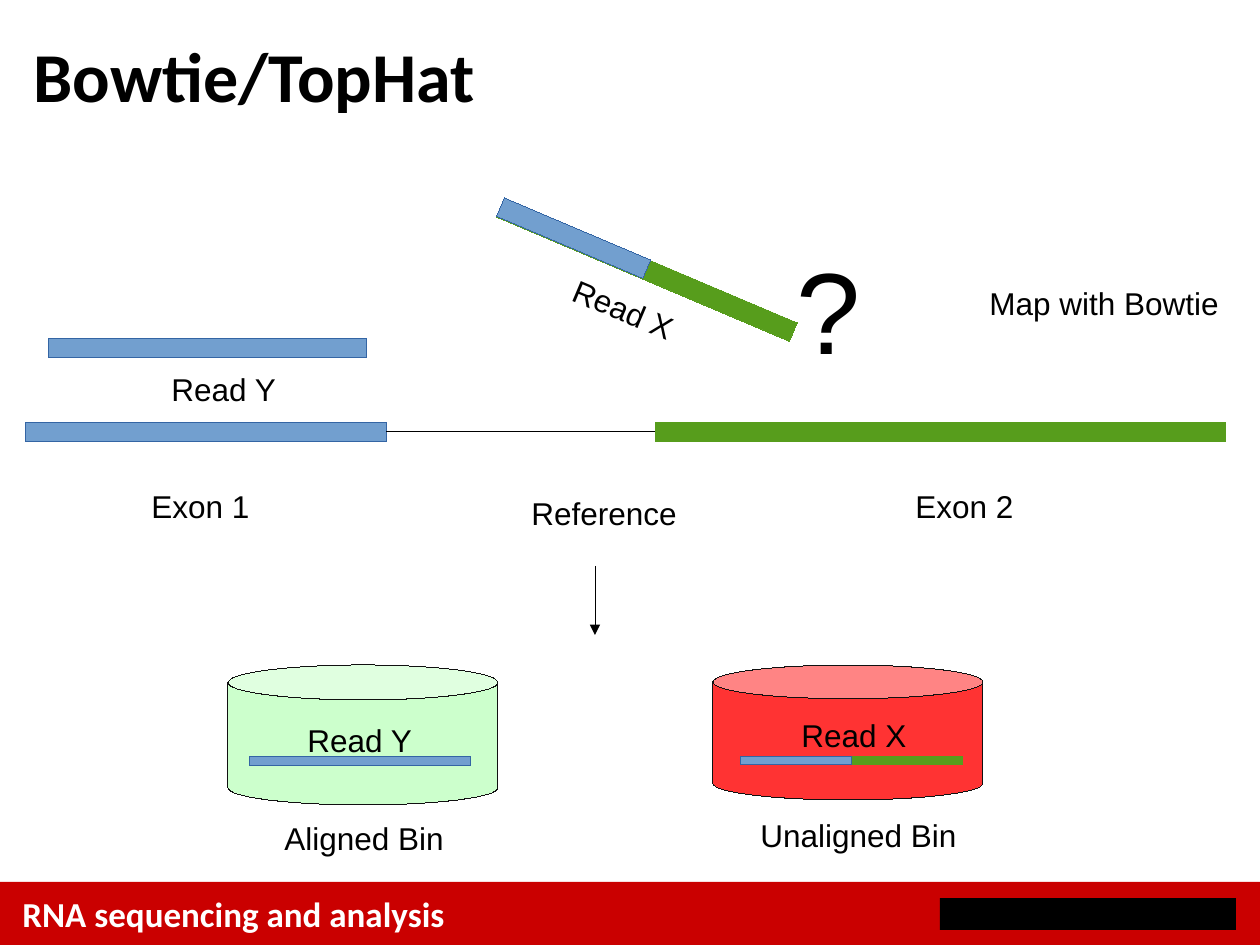
from dataclasses import dataclass
from lxml import etree
from pptx import Presentation
from pptx.dml.color import RGBColor
from pptx.enum.shapes import MSO_CONNECTOR, MSO_SHAPE
from pptx.enum.text import MSO_ANCHOR, MSO_AUTO_SIZE, PP_ALIGN
from pptx.oxml.ns import qn
from pptx.util import Pt

SCALE = 914400 / 126  # EMU per px


@dataclass(frozen=True)
class Theme:
    head: str = "Calibri"
    body: str = "Arial"
    black: str = "000000"
    white: str = "FFFFFF"
    footer: str = "CA0000"
    blue: str = "729FCF"
    blue_edge: str = "3465A4"
    green: str = "579D1C"
    aligned: str = "CCFFCC"
    unaligned: str = "FF3333"
    can_edge: str = "111111"
    title_size: int = 40
    footer_size: int = 20
    label_size: int = 18
    mark_size: int = 66


T = Theme()

# Content: boxes are (left, top, width, height) in px
TITLE = ("Bowtie/TopHat", (21, -4, 1218, 158))
FOOTER_BAR = (0, 882, 1260, 63)
FOOTER_TEXT = ("RNA sequencing and analysis", (10, 886, 924, 54))
FOOTER_BLOCK = (940, 898, 296, 32)

TILT = 23
BINS = [((713, 665, 270, 135), T.unaligned), ((228, 665, 270, 140), T.aligned)]
BLUE, GREEN = (T.blue, T.blue_edge), (T.green, T.green)
BARS = [  # box, colours, rotation
    ((49, 338, 318, 20), BLUE, 0),       # read Y
    ((488, 260, 318, 20), GREEN, TILT),  # read X, with its exon 1 half on top
    ((494, 228, 159, 20), BLUE, TILT),
    ((25, 422, 362, 20), BLUE, 0),       # exons
    ((655, 422, 571, 20), GREEN, 0),
    ((249, 757, 222, 9), BLUE, 0),       # reads in the bins
    ((741, 756, 222, 9), GREEN, 0),
    ((741, 756, 111, 9), BLUE, 0),
]
LABELS = [  # text, box, size, rotation, wrap
    ("Read X", (559, 284, 130, 48), T.label_size, TILT, False),
    ("Read Y", (159, 364, 130, 48), T.label_size, 0, False),
    ("Reference", (519, 488, 174, 48), T.label_size, 0, False),
    ("Exon 1", (139, 481, 123, 48), T.label_size, 0, False),
    ("Exon 2", (903, 481, 123, 48), T.label_size, 0, False),
    ("?", (784, 233, 89, 141), T.mark_size, 0, False),
    ("Map with Bowtie", (977, 278, 260, 48), T.label_size, 0, False),
    ("Read X", (789, 710, 174, 48), T.label_size, 0, True),
    ("Read Y", (295, 715, 231, 48), T.label_size, 0, True),
    ("Aligned Bin", (272, 813, 297, 48), T.label_size, 0, True),
    ("Unaligned Bin", (748, 810, 312, 48), T.label_size, 0, True),
]
LINES = [((387, 432, 655, 432), False), ((595, 566, 595, 635), True)]


def px(values):
    return [round(v * SCALE) for v in values]


def rgb(value):
    return RGBColor.from_string(value)


def add_run(p, text, size, font=T.body, color=T.black, bold=False):
    r = p.add_run()
    r.text = text
    r.font.name, r.font.size, r.font.bold = font, Pt(size), bold
    r.font.color.rgb = rgb(color)


def set_hairline(sp, color):
    sp.line.color.rgb = rgb(color)
    ln = sp.line._get_or_add_ln()
    ln.set("w", "0")  # the width property drops a zero
    return ln


def add_box(s, kind, box, fill, edge=None, rotation=0):
    sp = s.shapes.add_shape(kind, *px(box))
    sp.shadow.inherit = False
    sp.rotation = rotation
    sp.fill.solid()
    sp.fill.fore_color.rgb = rgb(fill)
    if edge:
        set_hairline(sp, edge)
    else:
        sp.line.fill.background()
    return sp


def add_text(s, box, rotation=0, wrap=True):
    sp = s.shapes.add_textbox(*px(box))
    sp.rotation = rotation
    tf = sp.text_frame
    tf.word_wrap = wrap
    tf.auto_size = MSO_AUTO_SIZE.SHAPE_TO_FIT_TEXT
    return tf.paragraphs[0]


def add_line(s, ends, arrow):
    sp = s.shapes.add_connector(MSO_CONNECTOR.STRAIGHT, *px(ends))
    ln = set_hairline(sp, T.black)
    if arrow:
        etree.SubElement(ln, qn("a:tailEnd"), type="triangle")
    etree.SubElement(sp._element.spPr, qn("a:effectLst"))


def main():
    prs = Presentation()
    prs.slide_width, prs.slide_height = px((1260, 945))
    s = prs.slides.add_slide(prs.slide_layouts[5])

    # Footer
    add_box(s, MSO_SHAPE.RECTANGLE, FOOTER_BAR, T.footer)
    text, box = FOOTER_TEXT
    add_run(add_text(s, box), text, T.footer_size, T.head, T.white, True)
    add_box(s, MSO_SHAPE.RECTANGLE, FOOTER_BLOCK, T.black)

    # Title
    text, box = TITLE
    sp = s.shapes.title
    sp.left, sp.top, sp.width, sp.height = px(box)
    tf = sp.text_frame
    tf.auto_size = MSO_AUTO_SIZE.NONE
    tf.vertical_anchor = MSO_ANCHOR.MIDDLE
    p = tf.paragraphs[0]
    p.alignment = PP_ALIGN.LEFT
    add_run(p, text, T.title_size, T.head, bold=True)

    # Diagram
    for box, fill in BINS:
        add_box(s, MSO_SHAPE.CAN, box, fill, T.can_edge).adjustments[0] = 0.25
    for box, (fill, edge), rotation in BARS:
        add_box(s, MSO_SHAPE.RECTANGLE, box, fill, edge, rotation)
    for ends, arrow in LINES:
        add_line(s, ends, arrow)
    for text, box, size, rotation, wrap in LABELS:
        add_run(add_text(s, box, rotation, wrap), text, size)

    prs.save("out.pptx")


if __name__ == "__main__":
    main()
